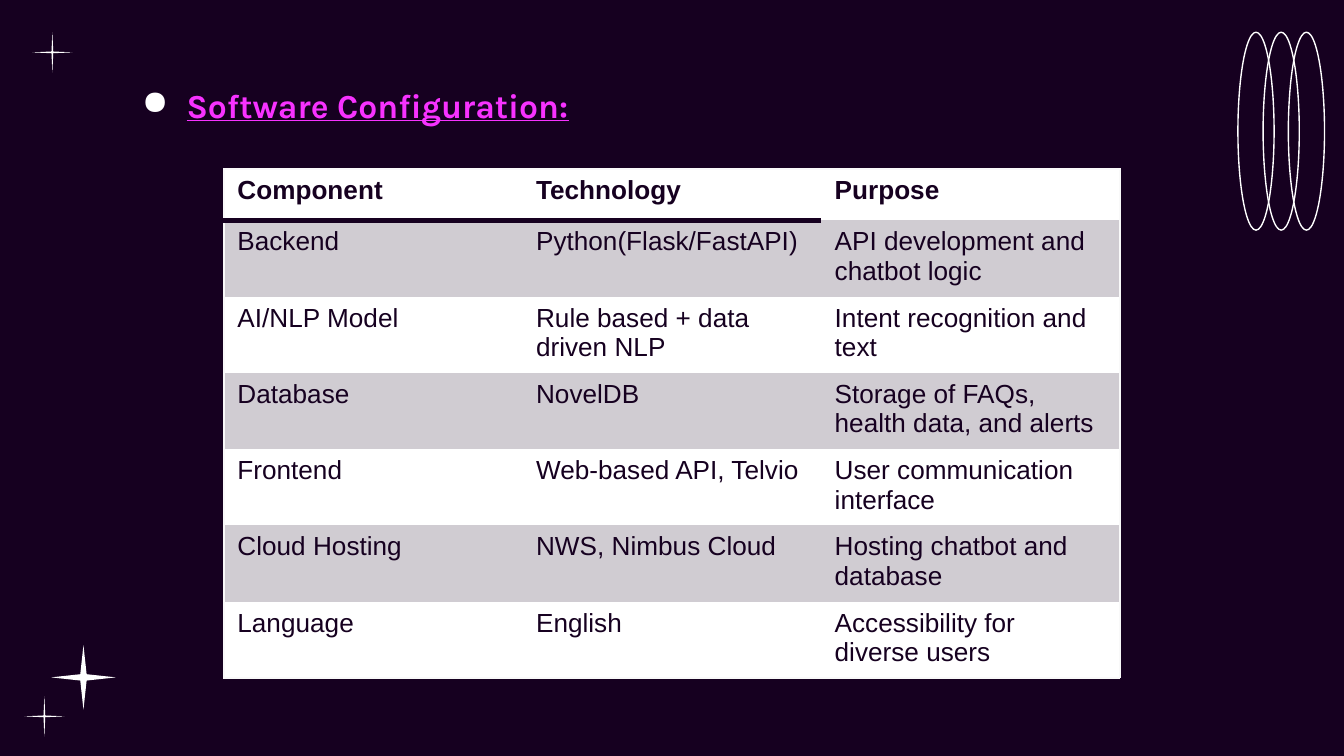
from lxml import etree
from pptx import Presentation
from pptx.dml.color import RGBColor
from pptx.enum.shapes import MSO_SHAPE
from pptx.oxml.ns import qn
from pptx.util import Pt

ELLIPSE = MSO_SHAPE.OVAL
STAR = MSO_SHAPE.STAR_4_POINT
DARK, WHITE, PINK = "160020", "FFFFFF", "F732FF"
BAND, EDGE = "D0CCD2", "F9F9F9"
NO_STYLE = "{2D5ABB26-0587-4C30-8999-92F81FD0307C}"

ROWS = [
    ("Component", "Technology", "Purpose"),
    ("Backend", "Python(Flask/FastAPI)", "API development and chatbot logic"),
    ("AI/NLP Model", "Rule based + data driven NLP", "Intent recognition and text"),
    ("Database", "NovelDB", "Storage of FAQs, health data, and alerts"),
    ("Frontend", "Web-based API, Telvio", "User communication interface"),
    ("Cloud Hosting", "NWS, Nimbus Cloud", "Hosting chatbot and database"),
    ("Language", "English", "Accessibility for diverse users"),
]


def rgb(value):
    return RGBColor.from_string(value)


class Deck:
    def __init__(self, prs):
        self.s = prs.slides.add_slide(prs.slide_layouts[6])
        fill = self.s.background.fill
        fill.solid()
        fill.fore_color.rgb = rgb(DARK)

    def style(self, p, font, size, color, bold=False, underline=False):
        f = p.font
        f.name, f.size, f.bold, f.underline = font, Pt(size), bold, underline
        f.color.rgb = rgb(color)

    def shape(self, kind, x, y, w, h):
        sp = self.s.shapes.add_shape(kind, Pt(x), Pt(y), Pt(w), Pt(h))
        sp.shadow.inherit = False
        return sp

    def ring(self, x, y, w, h):
        sp = self.shape(ELLIPSE, x, y, w, h)
        sp.fill.background()
        sp.line.color.rgb = rgb(WHITE)
        sp.line.width = Pt(0.75)

    def star(self, x, y, size, depth):
        sp = self.shape(STAR, x, y, size, size)
        sp.adjustments[0] = depth
        sp.fill.solid()
        sp.fill.fore_color.rgb = rgb(WHITE)
        sp.line.fill.background()

    def heading(self, text, x, y, w, h):
        tf = self.s.shapes.add_textbox(Pt(x), Pt(y), Pt(w), Pt(h)).text_frame
        tf.word_wrap = True
        tf.margin_left = tf.margin_right = tf.margin_top = tf.margin_bottom = Pt(7.2)
        p = tf.paragraphs[0]
        p.text = text
        self.style(p, "Karla", 18, PINK, bold=True, underline=True)
        # Hanging white bullet
        pPr = p._p.get_or_add_pPr()
        pPr.set("marL", str(Pt(36)))
        pPr.set("indent", str(-Pt(24)))
        color = etree.Element(qn("a:buClr"))
        etree.SubElement(color, qn("a:srgbClr"), val=WHITE)
        pPr.insert(0, color)
        pPr.insert(1, etree.Element(qn("a:buChar"), char="●"))

    def border(self, cell, side, color, width):
        ln = etree.SubElement(cell._tc.get_or_add_tcPr(), qn("a:ln" + side), w=str(Pt(width)))
        fill = etree.SubElement(ln, qn("a:solidFill"))
        etree.SubElement(fill, qn("a:srgbClr"), val=color)

    def table(self, rows, x, y, col_w, head_h, row_h):
        n_rows, n_cols = len(rows), len(rows[0])
        height = head_h + row_h * (n_rows - 1)
        table = self.s.shapes.add_table(
            n_rows, n_cols, Pt(x), Pt(y), Pt(col_w * n_cols), Pt(height)).table
        table._tbl.tblPr.find(qn("a:tableStyleId")).text = NO_STYLE
        for col in table.columns:
            col.width = Pt(col_w)
        for i, row in enumerate(rows):
            table.rows[i].height = Pt(row_h if i else head_h)
            for j, text in enumerate(row):
                cell = table.cell(i, j)
                # Thin outer frame, thick rule under the first two headers
                edges = {"L": j == 0, "R": j == n_cols - 1, "T": i == 0, "B": i == n_rows - 1}
                for side, outer in edges.items():
                    if outer:
                        self.border(cell, side, EDGE, 0.75)
                if i == 0 and j < n_cols - 1:
                    self.border(cell, "B", DARK, 3)
                cell.fill.solid()
                cell.fill.fore_color.rgb = rgb(BAND if i % 2 else WHITE)
                p = cell.text_frame.paragraphs[0]
                p.text = text
                self.style(p, "Arial", 14, DARK, bold=i == 0)


def main():
    prs = Presentation()
    prs.slide_width, prs.slide_height = Pt(720), Pt(405)
    deck = Deck(prs)

    # Corner decorations
    for i in range(3):
        deck.ring(663.2 + 13.5 * i, 17.3, 19.4, 106)
    for x, y, size, depth in [(17.3, 17.3, 21.6, 0.03),
                              (27.4, 345.6, 34.6, 0.07),
                              (13, 373, 21.6, 0.03)]:
        deck.star(x, y, size, depth)

    # Heading and table
    deck.heading("Software Configuration:", 56.9, 38.2, 607, 324.7)
    deck.table(ROWS, 120, 90.5, 160, 27.6, 38.6)

    prs.save("out.pptx")


if __name__ == "__main__":
    main()
